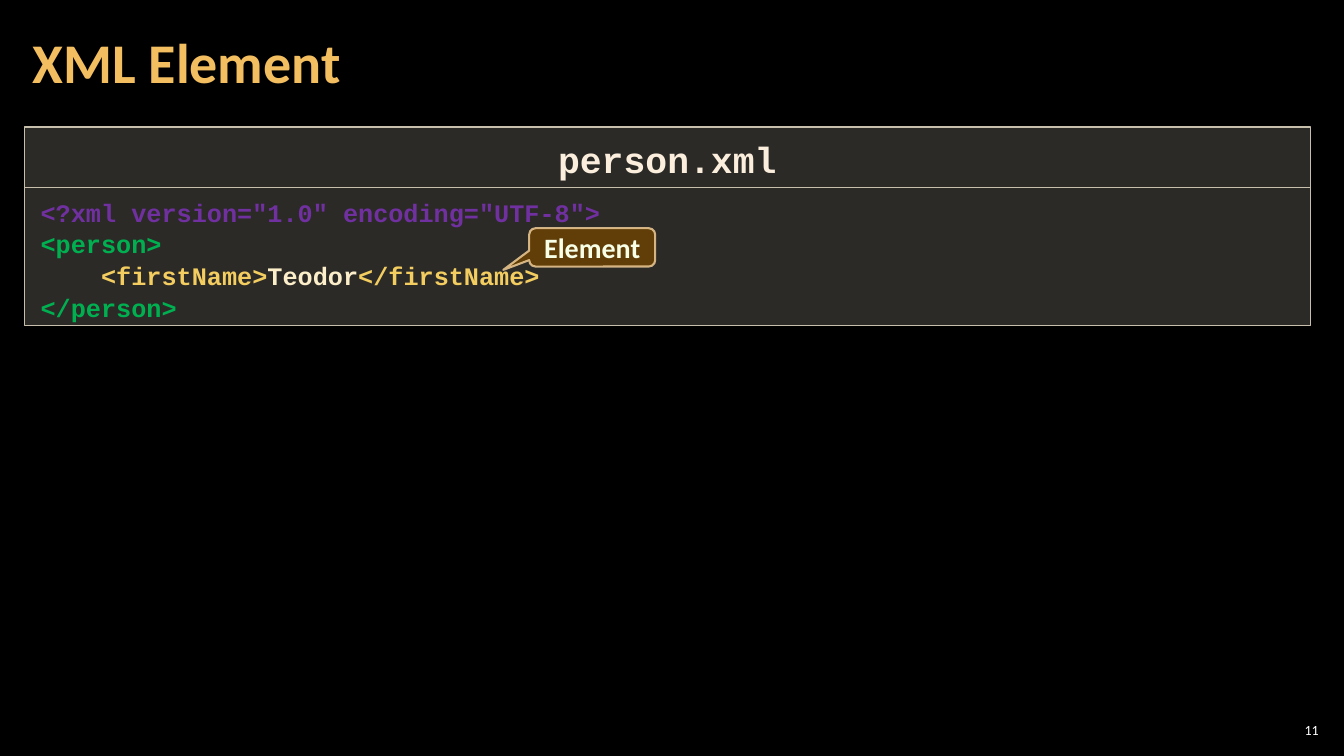
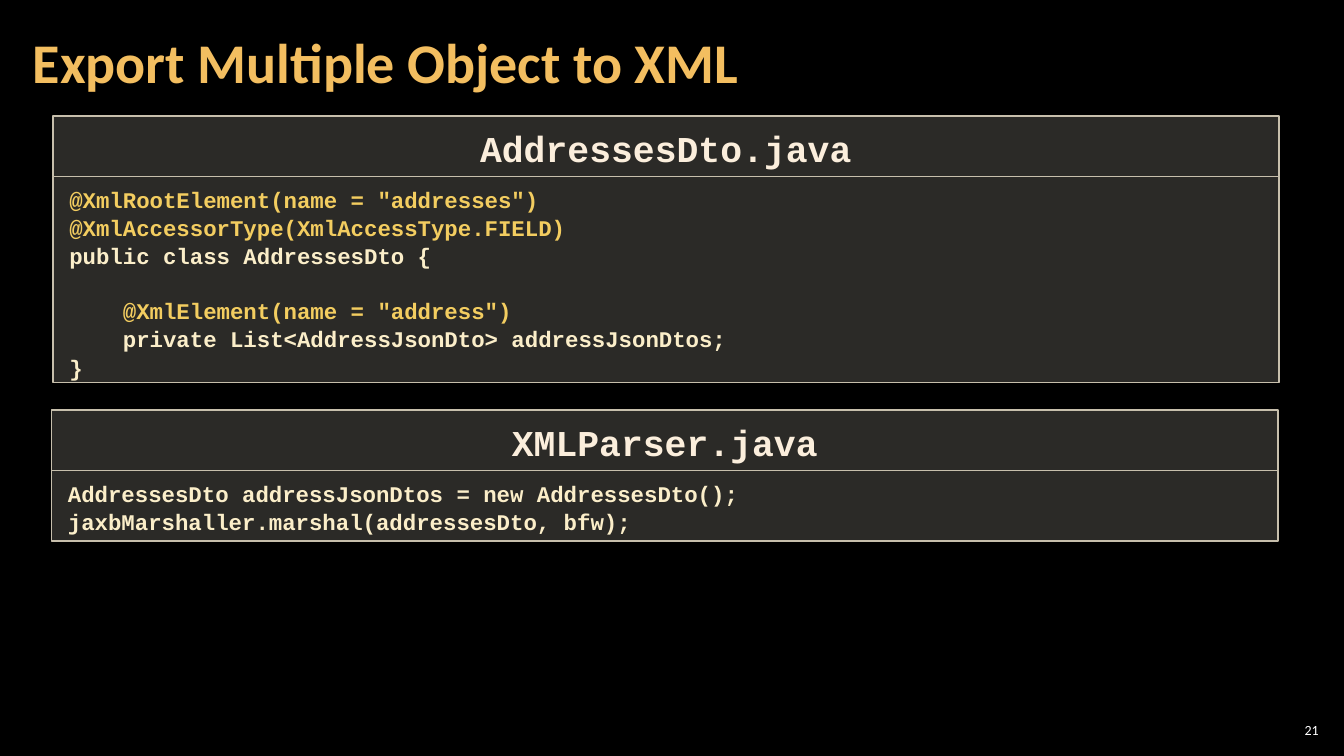
from lxml import etree
from pptx import Presentation
from pptx.dml.color import RGBColor
from pptx.enum import shapes, text
from pptx.oxml import ns
from pptx.util import Pt

BLACK = RGBColor(0x00, 0x00, 0x00)
WHITE = RGBColor(0xFF, 0xFF, 0xFF)
AMBER = RGBColor(0xF3, 0xBE, 0x60)
PANEL = RGBColor(0xD9, 0xD5, 0xC7)
BORDER = RGBColor(0xC7, 0xBF, 0xAC)
HEADING = RGBColor(0xFB, 0xEE, 0xDC)
CODE = RGBColor(0xFB, 0xEE, 0xC9)
YELLOW = RGBColor(0xF3, 0xCD, 0x60)
GREEN = RGBColor(0x00, 0xB0, 0x50)
PURPLE = RGBColor(0x70, 0x30, 0xA0)
BROWN = RGBColor(0x64, 0x3F, 0x07)
TAN = RGBColor(0xF8, 0xD4, 0x9E)
IVORY = RGBColor(0xF7, 0xFF, 0xE7)

SANS, MONO = "Calibri", "Courier New"
LEFT, CENTER, RIGHT = text.PP_ALIGN.LEFT, text.PP_ALIGN.CENTER, text.PP_ALIGN.RIGHT
HEADER_H = 43.2
PAD_X, PAD_Y = 11.5, 5.75
LINE_H = 1.21  # panel height per code line, in font sizes


class Deck:
    def __init__(self):
        self.prs = Presentation()
        self.prs.slide_width, self.prs.slide_height = Pt(960), Pt(540)
        self.s = None

    def slide(self, title, number):
        self.s = self.prs.slides.add_slide(self.prs.slide_layouts[6])
        fill = self.s.background.fill
        fill.solid()
        fill.fore_color.rgb = BLACK
        self.label(number, (911, 514, 34, 15), 10, WHITE, RIGHT, 3)
        p = self.label(title, (15, 3, 754, 87), 40, AMBER, LEFT, 8.5, bold=True)
        p.line_spacing = 0.9

    def label(self, words, box, size, color, align, pad_x, bold=False):
        sp = self.s.shapes.add_textbox(*map(Pt, box))
        tf = self.frame(sp, pad_x, 3, text.MSO_ANCHOR.MIDDLE)
        p = tf.paragraphs[0]
        p.alignment = align
        self.run(p, words, SANS, size, color, bold)
        return p

    def code_panel(self, left, top, width, name, lines, size):
        """Header bar over a code box; an empty line becomes space above the next one."""
        tf = self.panel((left, top + HEADER_H, width, len(lines) * size * LINE_H + 2 * PAD_Y))
        p, gap = None, 0
        for line in lines:
            if not line:
                gap += 1.2 * size
                continue
            p = tf.add_paragraph() if p else tf.paragraphs[0]
            p.alignment, p.line_spacing = LEFT, 1.05
            if gap:
                p.space_before, gap = Pt(gap), 0
            for words, color in line:
                self.run(p, words, MONO, size, color)

        p = self.panel((left, top, width, HEADER_H)).paragraphs[0]
        p.alignment, p.line_spacing = CENTER, 1.05
        self.run(p, name, MONO, 26, HEADING)

    def panel(self, box):
        sp = self.shape(shapes.MSO_SHAPE.RECTANGLE, box, PANEL, 20, BORDER, 1)
        return self.frame(sp, PAD_X, PAD_Y, text.MSO_ANCHOR.TOP)

    def callout(self, words, box, tip):
        sp = self.shape(shapes.MSO_SHAPE.ROUNDED_RECTANGULAR_CALLOUT, box, BROWN, 95, TAN, 1.5, 80)
        sp.adjustments[0], sp.adjustments[1] = tip
        p = self.frame(sp, 7.2, 3.6, text.MSO_ANCHOR.MIDDLE).paragraphs[0]
        p.alignment = CENTER
        self.run(p, words, SANS, 20, IVORY)

    def shape(self, kind, box, fill, opacity, line, weight, line_opacity=100):
        sp = self.s.shapes.add_shape(kind, *map(Pt, box))
        sp.shadow.inherit = False
        sp.fill.solid()
        sp.line.fill.solid()
        sp.fill.fore_color.rgb, sp.line.color.rgb = fill, line
        sp.line.width = Pt(weight)
        clrs = sp.element.spPr.iter(ns.qn("a:srgbClr"))
        for clr, percent in zip(list(clrs), (opacity, line_opacity)):
            if percent < 100:
                etree.SubElement(clr, ns.qn("a:alpha")).set("val", str(percent * 1000))
        return sp

    @staticmethod
    def frame(sp, pad_x, pad_y, anchor):
        tf = sp.text_frame
        tf.word_wrap = True
        tf.vertical_anchor = anchor
        tf.margin_left = tf.margin_right = Pt(pad_x)
        tf.margin_top = tf.margin_bottom = Pt(pad_y)
        return tf

    @staticmethod
    def run(p, words, font, size, color, bold=True):
        r = p.add_run()
        r.text = words
        r.font.name, r.font.size, r.font.bold = font, Pt(size), bold
        r.font.color.rgb = color


def main():
    deck = Deck()

    deck.slide("XML Element", "11")
    deck.code_panel(17.5, 90.7, 918.5, "person.xml", [
        [('<?xml version="1.0" encoding="UTF-8">', PURPLE)],
        [("<person>", GREEN)],
        [("    <firstName>", YELLOW), ("Teodor", CODE), ("</firstName>", YELLOW)],
        [("</person>", GREEN)],
    ], 18)
    deck.callout("Element", (378, 163, 90, 27.4), (-0.706, 0.587))

    deck.slide("Export Multiple Object to XML", "21")
    deck.code_panel(38, 83, 875.5, "AddressesDto.java", [
        [('@XmlRootElement(name = "addresses")', YELLOW)],
        [("@XmlAccessorType(XmlAccessType.FIELD)", YELLOW)],
        [("public class AddressesDto {", CODE)],
        [],
        [('    @XmlElement(name = "address")', YELLOW)],
        [("    private List<AddressJsonDto> addressJsonDtos;", CODE)],
        [("}", CODE)],
    ], 16)
    deck.code_panel(37, 293, 876, "XMLParser.java", [
        [("AddressesDto addressJsonDtos = new AddressesDto();", CODE)],
        [("jaxbMarshaller.marshal(addressesDto, bfw);", CODE)],
    ], 16)

    deck.prs.save("out.pptx")


if __name__ == "__main__":
    main()
